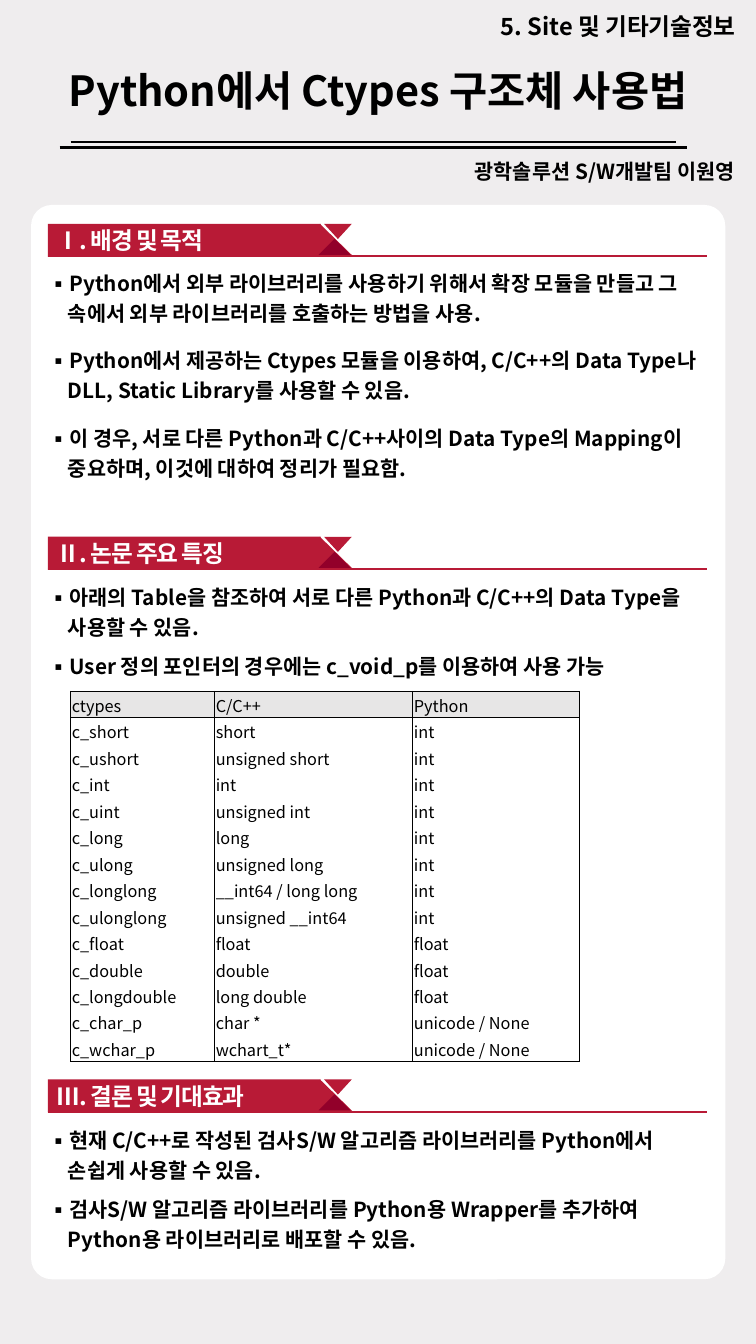
from lxml import etree
from pptx import Presentation, util as u
from pptx.dml.color import RGBColor
from pptx.enum import shapes as sh, text as tx
from pptx.oxml.ns import qn

Cm, Pt = u.Cm, u.Pt
FONT = "Noto Sans CJK KR"
HUES = {"back": "EFEDEE", "white": "FFFFFF", "black": "000000",
        "red": "B81A36", "dark": "92002A", "head": "E7E6E6"}
HUE = {name: RGBColor.from_string(code) for name, code in HUES.items()}
KIND = sh.MSO_SHAPE
LEFT, MID, RIGHT = tx.PP_ALIGN.LEFT, tx.PP_ALIGN.CENTER, tx.PP_ALIGN.RIGHT


def draw(owner, kind, box, hue):
    """Add a filled shape, or a line when kind is a width in points."""
    if isinstance(kind, float):
        item = owner.add_connector(sh.MSO_CONNECTOR.STRAIGHT, *map(Cm, box))
        etree.SubElement(item._element.spPr, qn("a:effectLst"))
        item.line.width = Pt(kind)
        item.line.color.rgb = HUE[hue]
        return item
    item = owner.add_shape(kind, *map(Cm, box))
    item.shadow.inherit = False
    item.fill.solid()
    item.fill.fore_color.rgb = HUE[hue]
    item.line.fill.background()
    return item


def write(frame, lines, size, hue="black", bold=True, align=LEFT, pads=None):
    """Fill a text frame, one paragraph for each line."""
    frame.word_wrap = True
    if pads:
        (frame.margin_left, frame.margin_top,
         frame.margin_right, frame.margin_bottom) = map(Cm, pads)
    for i, line in enumerate(lines):
        para = frame.add_paragraph() if i else frame.paragraphs[0]
        para.alignment = align
        run = para.add_run()
        run.text = line
        font = run.font
        font.size, font.bold, font.name = Pt(size), bold, FONT
        font.color.rgb = HUE[hue]
        etree.SubElement(font._element, qn("a:ea")).set("typeface", FONT)


deck = Presentation()
deck.slide_width, deck.slide_height = Cm(18.01), Cm(32)
page = deck.slides.add_slide(deck.slide_layouts[6])
page.background.fill.solid()
page.background.fill.fore_color.rgb = HUE["back"]
items = page.shapes

# White panel
panel = draw(items, KIND.ROUNDED_RECTANGLE, (0.74, 4.88, 16.54, 25.58), "white")
panel.adjustments[0] = 0.03

# Title, author and category
title = items.add_textbox(0, Cm(1.35), Cm(18.01), Cm(1.57)).text_frame
title.vertical_anchor = tx.MSO_ANCHOR.MIDDLE
write(title, ["Python에서 Ctypes 구조체 사용법"], 28, align=MID)
for line, size, box, pads in (
    ("광학솔루션 S/W개발팀 이원영", 14, (10.36, 3.66, 7.62, 0.86), (0.25, 0.13, 0.48, 0.13)),
    ("5. Site 및 기타기술정보", 16, (10.82, 0, 7.19, 1.09), (0.48, 0.28, 0.48, 0.13)),
):
    frame = items.add_textbox(*map(Cm, box)).text_frame
    write(frame, [line], size, align=RIGHT, pads=pads)

# Double rule under the title
draw(items, 1.5, (1.68, 3.38, 16.1, 3.38), "black")
draw(items, 2.5, (1.42, 3.51, 16.36, 3.51), "black")

# Sections: heading, heading top, bullet box, space before, bullets
parts = (
    ("Ⅰ. 배경 및 목적", 5.33, (0.91, 6.2, 16.15, 5.36), 6, (
        "Python에서 외부 라이브러리를 사용하기 위해서 확장 모듈을 만들고 그 속에서 외부 라이브러리를 호출하는 방법을 사용.",
        "Python에서 제공하는 Ctypes 모듈을 이용하여, C/C++의 Data Type나 DLL, Static Library를 사용할 수 있음.",
        "이 경우, 서로 다른 Python과 C/C++사이의 Data Type의 Mapping이 중요하며, 이것에 대하여 정리가 필요함.")),
    ("Ⅱ. 논문 주요 특징", 12.78, (0.91, 13.69, 16.15, 2.57), 0, (
        "아래의 Table을 참조하여 서로 다른 Python과 C/C++의 Data Type을 사용할 수 있음.",
        "User 정의 포인터의 경우에는 c_void_p를 이용하여 사용 가능")),
    ("Ⅲ. 결론 및 기대효과", 25.7, (0.91, 26.62, 15.85, 3.28), 0, (
        "현재 C/C++로 작성된 검사S/W 알고리즘 라이브러리를 Python에서 손쉽게 사용할 수 있음.",
        "검사S/W 알고리즘 라이브러리를 Python용 Wrapper를 추가하여 Python용 라이브러리로 배포할 수 있음.")),
)
for name, top, box, gap, lines in parts:
    # Heading ribbon
    group = items.add_group_shape().shapes
    draw(group, 1.5, (1.14, top + 0.77, 16.84, top + 0.77), "red")
    draw(group, KIND.RIGHT_TRIANGLE, (7.62, top, 0.81, 0.79), "red")
    draw(group, KIND.RECTANGLE, (1.14, top, 6.5, 0.79), "red")
    notch = draw(group, KIND.ISOSCELES_TRIANGLE, (7.72, top, 0.66, 0.36), "red")
    notch.rotation = 180
    label = group.add_textbox(Cm(1.35), Cm(top + 0.05), Cm(7.49), Cm(0.69)).text_frame
    write(label, [name], 16, "white", pads=(0, 0, 0, 0))
    label.paragraphs[0].runs[0].font._element.set("spc", "-80")
    draw(group, KIND.ISOSCELES_TRIANGLE, (7.59, top + 0.36, 0.76, 0.38), "dark")

    # Bullets
    frame = items.add_textbox(*map(Cm, box)).text_frame
    write(frame, lines, 14)
    for i, para in enumerate(frame.paragraphs):
        para.line_spacing = 1.2
        para.space_before = Pt(gap if i else 0)
        para.space_after = Pt(6)
        props = para._p.get_or_add_pPr()
        props.set("marL", str(Cm(0.46)))
        props.set("indent", str(-Cm(0.46)))
        etree.SubElement(props, qn("a:buFont")).set("typeface", FONT)
        etree.SubElement(props, qn("a:buChar")).set("char", "▪")

# Type table
rows = (
    ("ctypes", "C/C++", "Python"),
    ("c_short", "short", "int"),
    ("c_ushort", "unsigned short", "int"),
    ("c_int", "int", "int"),
    ("c_uint", "unsigned int", "int"),
    ("c_long", "long", "int"),
    ("c_ulong", "unsigned long", "int"),
    ("c_longlong", "__int64 / long long", "int"),
    ("c_ulonglong", "unsigned __int64", "int"),
    ("c_float", "float", "float"),
    ("c_double", "double", "float"),
    ("c_longdouble", "long double", "float"),
    ("c_char_p", "char *", "unicode / None"),
    ("c_wchar_p", "wchart_t*", "unicode / None"),
)
wide, high = (3.43, 4.72, 3.96), 0.63
grid = items.add_table(len(rows), len(wide), Cm(1.68), Cm(16.46),
                       Cm(sum(wide)), Cm(high * len(rows))).table
grid.first_row = grid.horz_banding = False
for col, width in zip(grid.columns, wide):
    col.width = Cm(width)
for r, row in enumerate(rows):
    grid.rows[r].height = Cm(high)
    # Rules run around the header row and around the body
    sides = {"L": True, "R": True, "T": r < 2, "B": r in (0, len(rows) - 1)}
    for c, word in enumerate(row):
        cell = grid.cell(r, c)
        write(cell.text_frame, [word], 11, bold=False)
        cell.margin_left = cell.margin_right = cell.margin_top = Cm(0.03)
        cell.margin_bottom = 0
        cell.vertical_anchor = tx.MSO_ANCHOR.MIDDLE
        props = cell._tc.get_or_add_tcPr()
        for side, shown in sides.items():
            edge = etree.SubElement(props, qn("a:ln" + side), w=str(Pt(0.5)))
            if shown:
                ink = etree.SubElement(edge, qn("a:solidFill"))
                etree.SubElement(ink, qn("a:srgbClr")).set("val", HUES["black"])
            else:
                etree.SubElement(edge, qn("a:noFill"))
        if r:
            cell.fill.background()
        else:
            cell.fill.solid()
            cell.fill.fore_color.rgb = HUE["head"]

deck.save("out.pptx")
